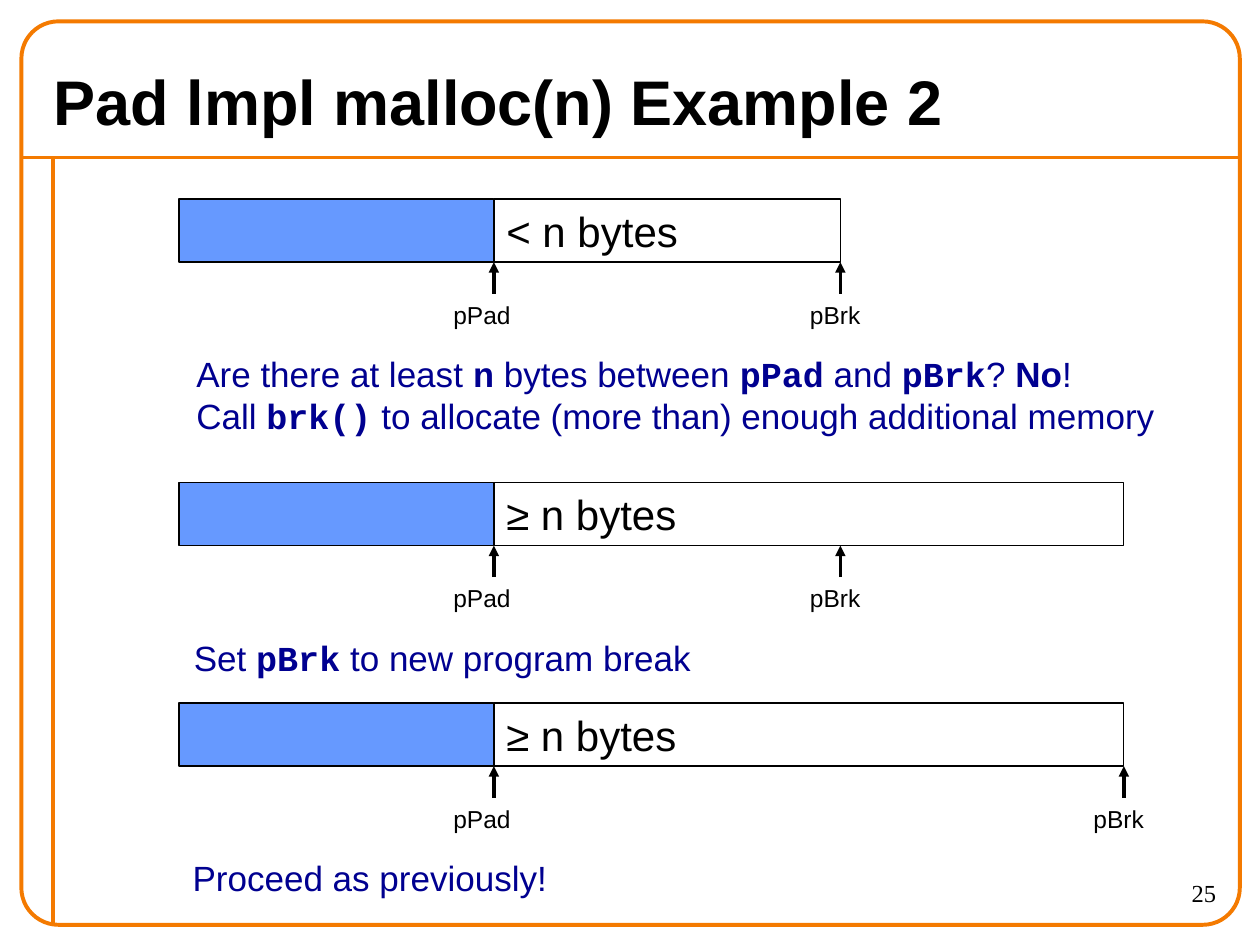
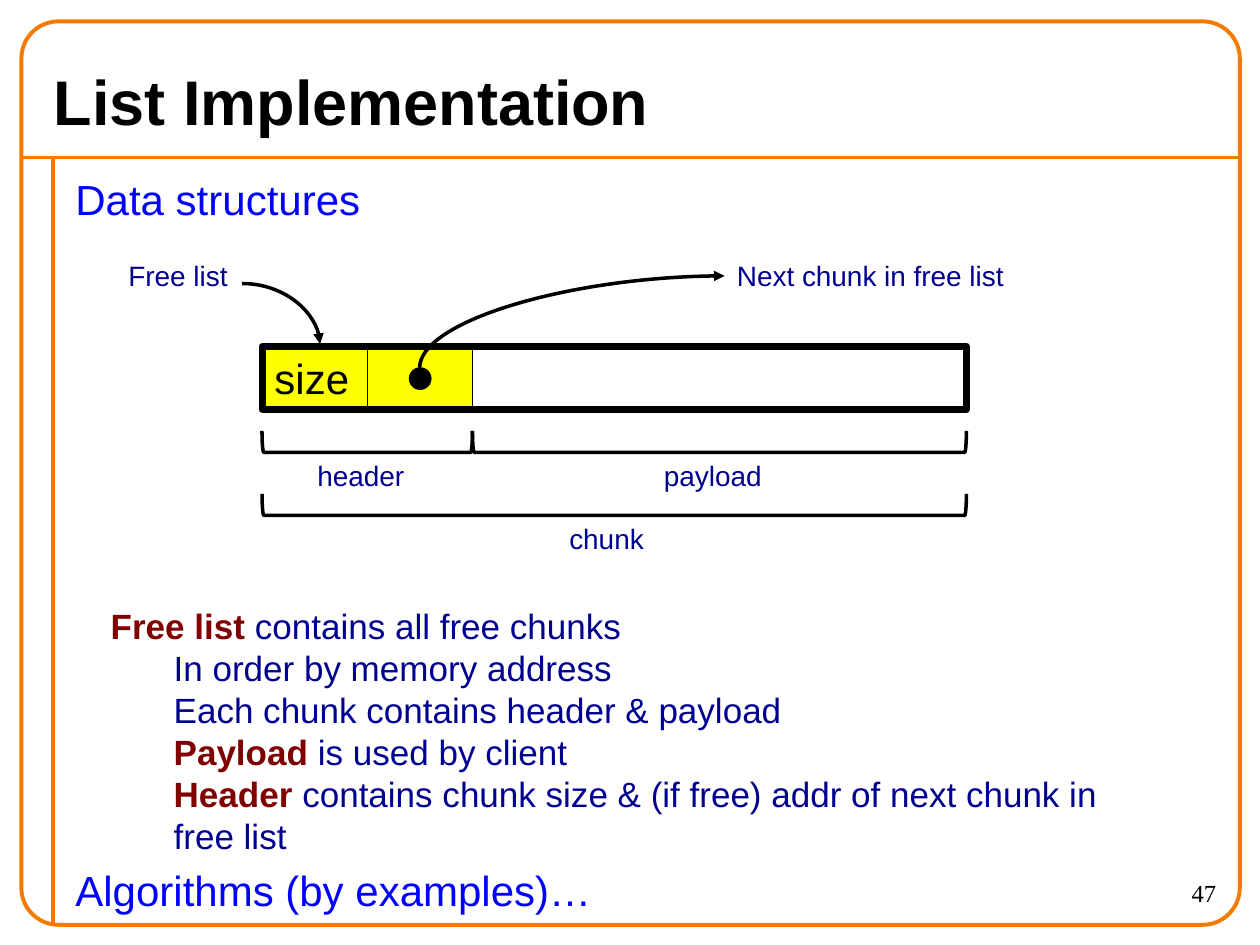
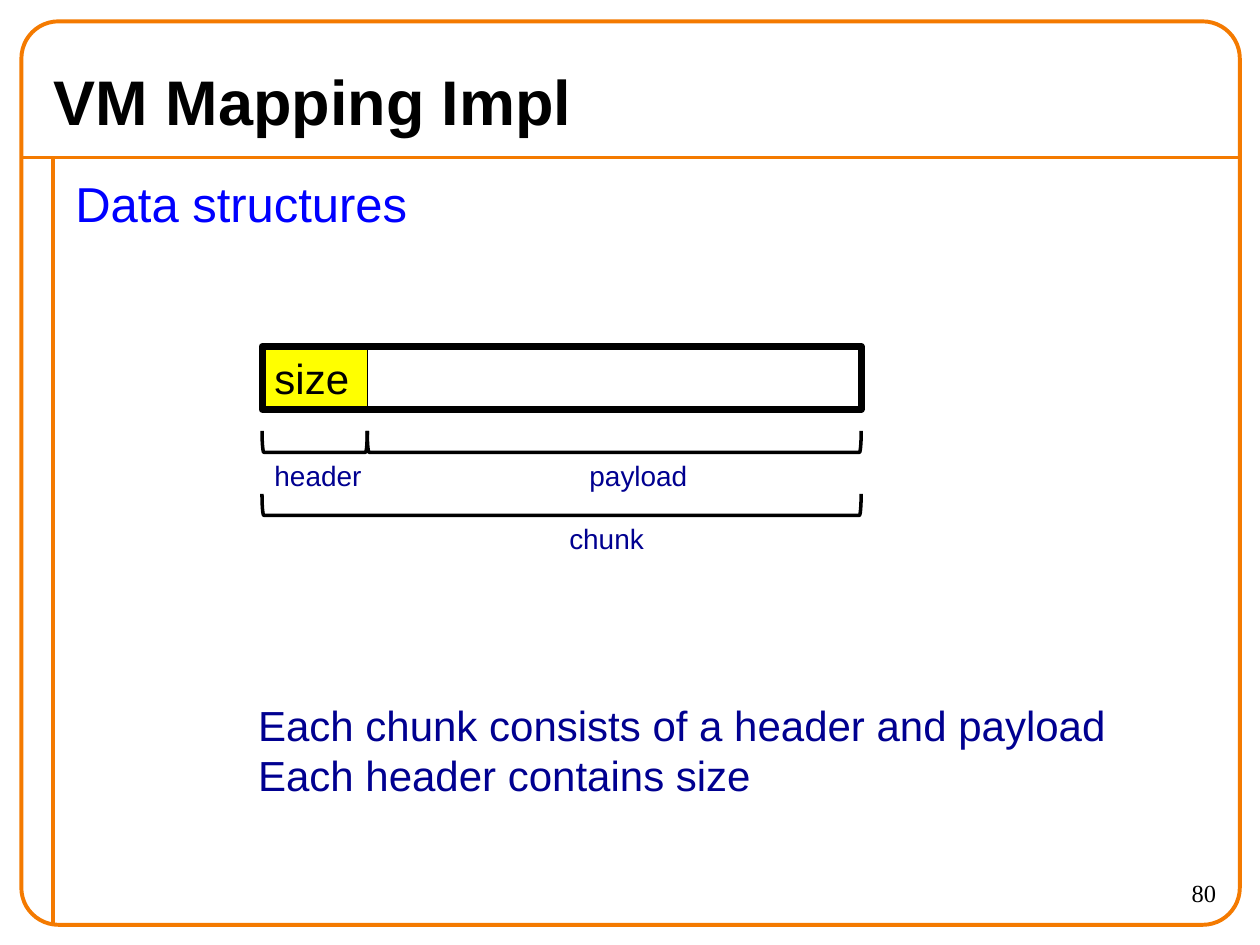
from pptx import Presentation
from pptx import util as u
from pptx.dml.color import RGBColor
from pptx.enum import shapes, text
from pptx.oxml.ns import qn
from lxml import etree

BLACK, WHITE, ORANGE = "000000", "FFFFFF", "F47A00"
NAVY, BLUE, MAROON = "000090", "0000FF", "800000"
USED, YELLOW = "6699FF", "FFFF00"
CODE = {"font": "Courier New", "bold": True}
BOLD = {"bold": True}
TERM = {"bold": True, "color": MAROON}
BAR_H, CELL_W, PAYLOAD_W = 0.5, 0.835, 3.92
SHAPE = shapes.MSO_SHAPE


def rgb(value):
    """Turn a hex string into a colour."""
    return RGBColor.from_string(value)


def style_run(r, size, color=BLACK, font="Arial", bold=False):
    """Format one run."""
    r.font.size, r.font.name, r.font.bold = u.Pt(size), font, bold
    r.font.color.rgb = rgb(color)


def write(sp, paras, align=text.PP_ALIGN.LEFT, anchor=text.MSO_ANCHOR.TOP,
          gap=0, indents=(), **fmt):
    """Fill a shape with paragraphs of plain or (text, format) runs."""
    tf = sp.text_frame
    tf.word_wrap, tf.vertical_anchor = True, anchor
    for i, runs in enumerate(paras):
        p = tf.paragraphs[0] if i == 0 else tf.add_paragraph()
        p.alignment = align
        if i and gap:
            p.space_before = u.Pt(gap)
        if i < len(indents) and indents[i]:
            p._p.get_or_add_pPr().set("marL", str(u.Inches(indents[i])))
        for run in [runs] if isinstance(runs, str) else runs:
            words, extra = (run, {}) if isinstance(run, str) else run
            r = p.add_run()
            r.text = words
            style_run(r, **{**fmt, **extra})


def add_text(s, x, y, w, h, paras, **fmt):
    """Add a text box."""
    sp = s.shapes.add_textbox(*map(u.Inches, (x, y, w, h)))
    write(sp, [paras] if isinstance(paras, str) else paras, **fmt)
    return sp


def add_shape(s, kind, x, y, w, h, fill=None, line=BLACK, width=0.75):
    """Add a preset shape with no shadow."""
    sp = s.shapes.add_shape(kind, *map(u.Inches, (x, y, w, h)))
    sp.shadow.inherit = False
    if fill:
        sp.fill.solid()
        sp.fill.fore_color.rgb = rgb(fill)
    else:
        sp.fill.background()
    sp.line.color.rgb, sp.line.width = rgb(line), u.Pt(width)
    return sp


def add_line(s, x1, y1, x2, y2, color=BLACK, width=2, arrow=False,
             kind=shapes.MSO_CONNECTOR.STRAIGHT):
    """Add a connector, with an arrowhead at its end if asked."""
    c = s.shapes.add_connector(kind, *map(u.Inches, (x1, y1, x2, y2)))
    c.line.color.rgb, c.line.width = rgb(color), u.Pt(width)
    if arrow:
        etree.SubElement(c.line._get_or_add_ln(), qn("a:tailEnd"), type="triangle")
    etree.SubElement(c._element.spPr, qn("a:effectLst"))
    return c


def add_curve(s, x1, y1, x2, y2, upward=False):
    """Add a quarter-curve arrow that leaves sideways, or upward to the right."""
    if upward:
        cx, cy = (x1 + x2) / 2, (y1 + y2) / 2
        dx, dy = (y1 - y2) / 2, (x2 - x1) / 2
        x1, y1, x2, y2 = cx + dx, cy + dy, cx - dx, cy - dy
    c = add_line(s, x1, y1, x2, y2, arrow=True, kind=shapes.MSO_CONNECTOR.CURVE)
    spPr = c._element.spPr
    spPr.find(qn("a:prstGeom")).set("prst", "curvedConnector2")
    if upward:
        spPr.find(qn("a:xfrm")).set("rot", "5400000")
    return c


def add_slide(prs, title, number):
    """Add a slide with the orange frame, title and page number."""
    s = prs.slides.add_slide(prs.slide_layouts[6])
    add_line(s, 0.17, 1.25, 9.83, 1.25, ORANGE, 2.25)
    add_line(s, 0.42, 1.25, 0.42, 7.33, ORANGE, 2.25)
    frame = add_shape(s, SHAPE.ROUNDED_RECTANGLE, 0.17, 0.17, 9.67, 7.17,
                      line=ORANGE, width=2.25)
    frame.adjustments[0] = 0.041
    add_text(s, 0.33, 0.42, 9.33, 0.75, title, size=36, bold=True,
             anchor=text.MSO_ANCHOR.MIDDLE)
    add_text(s, 8.75, 6.92, 1, 0.42, str(number), size=14,
             font="Times New Roman", align=text.PP_ALIGN.RIGHT)
    return s


def add_heap(s, x, y, free_w, free_label, brk_w):
    """Draw a heap bar with its pPad and pBrk pointers."""
    pad = x + 2.5
    add_shape(s, SHAPE.RECTANGLE, x, y, 2.5, BAR_H, USED)
    free = add_shape(s, SHAPE.RECTANGLE, pad, y, free_w, BAR_H, WHITE)
    write(free, [free_label], size=24)
    for name, tip, dx, w in (("pPad", pad, 0.42, 0.83),
                             ("pBrk", pad + brk_w, 0.34, 0.75)):
        add_line(s, tip, y + 0.75, tip, y + BAR_H, arrow=True)
        add_text(s, tip - dx, y + 0.75, w, 0.34, name, size=14)


def add_bracket(s, x, y, w, name, label_x, label_w):
    """Draw a bracket opening upward, with its label below."""
    d = 0.17
    sp = add_shape(s, SHAPE.LEFT_BRACKET, x + (w - d) / 2, y + (d - w) / 2, d, w,
                   width=2)
    sp.rotation = 270
    add_text(s, label_x, y + d, label_w, 0.37, name, size=16, color=NAVY)


def add_chunk(s, x, y, cells, header_x, payload_x):
    """Draw a chunk of header cells and payload, with its brackets."""
    head_w = CELL_W * len(cells)
    total_w = head_w + PAYLOAD_W
    add_shape(s, SHAPE.RECTANGLE, x + head_w, y, PAYLOAD_W, BAR_H, WHITE)
    for i, label in enumerate(cells):
        cell = add_shape(s, SHAPE.RECTANGLE, x + i * CELL_W, y, CELL_W, BAR_H, YELLOW)
        if label:
            write(cell, [label], size=24)
    add_shape(s, SHAPE.RECTANGLE, x, y, total_w, BAR_H, width=4)
    add_bracket(s, x, y + 0.67, head_w, "header", x + header_x, 0.92)
    add_bracket(s, x + head_w, y + 0.67, PAYLOAD_W, "payload", x + payload_x, 1.08)
    add_bracket(s, x, y + 1.17, total_w, "chunk", x + 2.34, 0.83)


def malloc_slide(prs):
    """Build the slide on growing the heap."""
    s = add_slide(prs, "Pad lmpl malloc(n) Example 2", 25)
    for y, *heap in ((1.58, 2.75, "< n bytes", 2.75),
                     (3.83, 5, "≥ n bytes", 2.75),
                     (5.58, 5, "≥ n bytes", 5)):
        add_heap(s, 1.42, y, *heap)
    note = {"size": 20, "color": NAVY}
    add_text(s, 1.46, 2.75, 8.1, 0.77, [
        ["Are there at least ", ("n", CODE), " bytes between ", ("pPad", CODE),
         " and ", ("pBrk", CODE), "? ", ("No", BOLD), "!"],
        ["Call ", ("brk()", CODE),
         " to allocate (more than) enough additional memory"]], **note)
    add_text(s, 1.44, 5, 4.4, 0.44,
             [["Set ", ("pBrk", CODE), " to new program break"]], **note)
    add_text(s, 1.43, 6.75, 3.3, 0.44, "Proceed as previously!", **note)


def list_slide(prs):
    """Build the slide on the free list."""
    s = add_slide(prs, "List Implementation", 47)
    add_text(s, 0.5, 1.33, 9.25, 6,
             ["Data structures", "Algorithms (by examples)…"],
             size=24, color=BLUE, gap=366)
    add_text(s, 0.78, 4.75, 8.51, 1.77, [
        [("Free list ", TERM), "contains all free chunks"],
        "In order by memory address",
        "Each chunk contains header & payload",
        [("Payload ", TERM), "is used by client"],
        [("Header ", TERM),
         "contains chunk size & (if free) addr of next chunk in free list"]],
        size=20, color=NAVY, indents=(0, 0.5, 0.5, 0.5, 0.5))
    add_chunk(s, 2.08, 2.75, ["size", ""], 0.34, 3.09)
    add_shape(s, SHAPE.OVAL, 3.25, 2.92, 0.17, 0.17, BLACK)
    add_text(s, 0.92, 2, 1.05, 0.37, "Free list", size=16, color=NAVY)
    add_text(s, 5.75, 2, 2.42, 0.37, "Next chunk in free list", size=16, color=NAVY)
    add_curve(s, 1.92, 2.25, 2.54, 2.73)
    add_curve(s, 3.33, 2.92, 5.75, 2.19, upward=True)


def mapping_slide(prs):
    """Build the slide on chunks for VM mapping."""
    s = add_slide(prs, "VM Mapping Impl", 80)
    add_text(s, 0.5, 1.33, 9.25, 0.6, "Data structures", size=28, color=BLUE)
    add_chunk(s, 2.08, 2.75, ["size"], 0, 2.5)
    add_text(s, 1.95, 5.5, 7.2, 0.9,
             ["Each chunk consists of a header and payload",
              "Each header contains size"], size=24, color=NAVY)


def main():
    """Build and save the slides."""
    prs = Presentation()
    prs.slide_width, prs.slide_height = u.Inches(10), u.Inches(7.5)
    malloc_slide(prs)
    list_slide(prs)
    mapping_slide(prs)
    prs.save("out.pptx")


if __name__ == "__main__":
    main()
